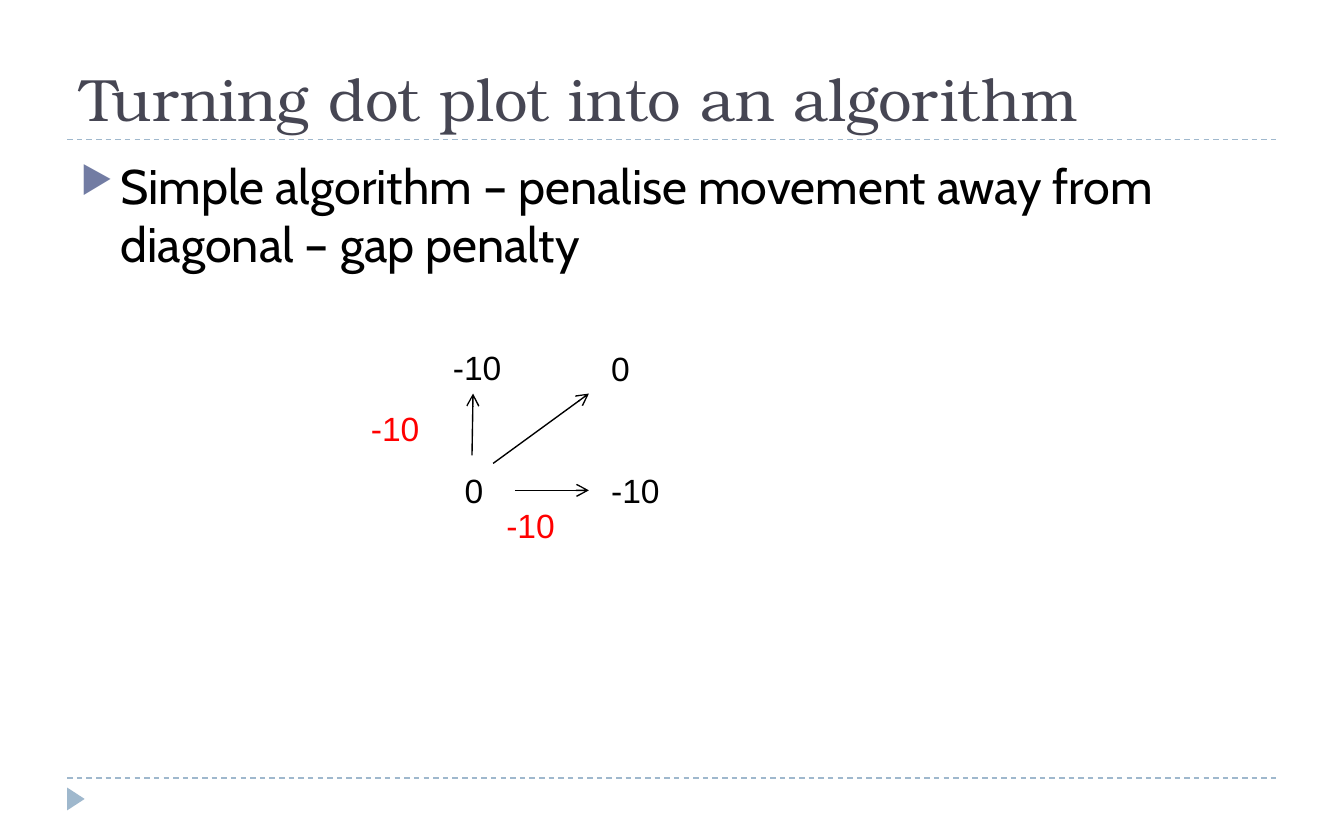
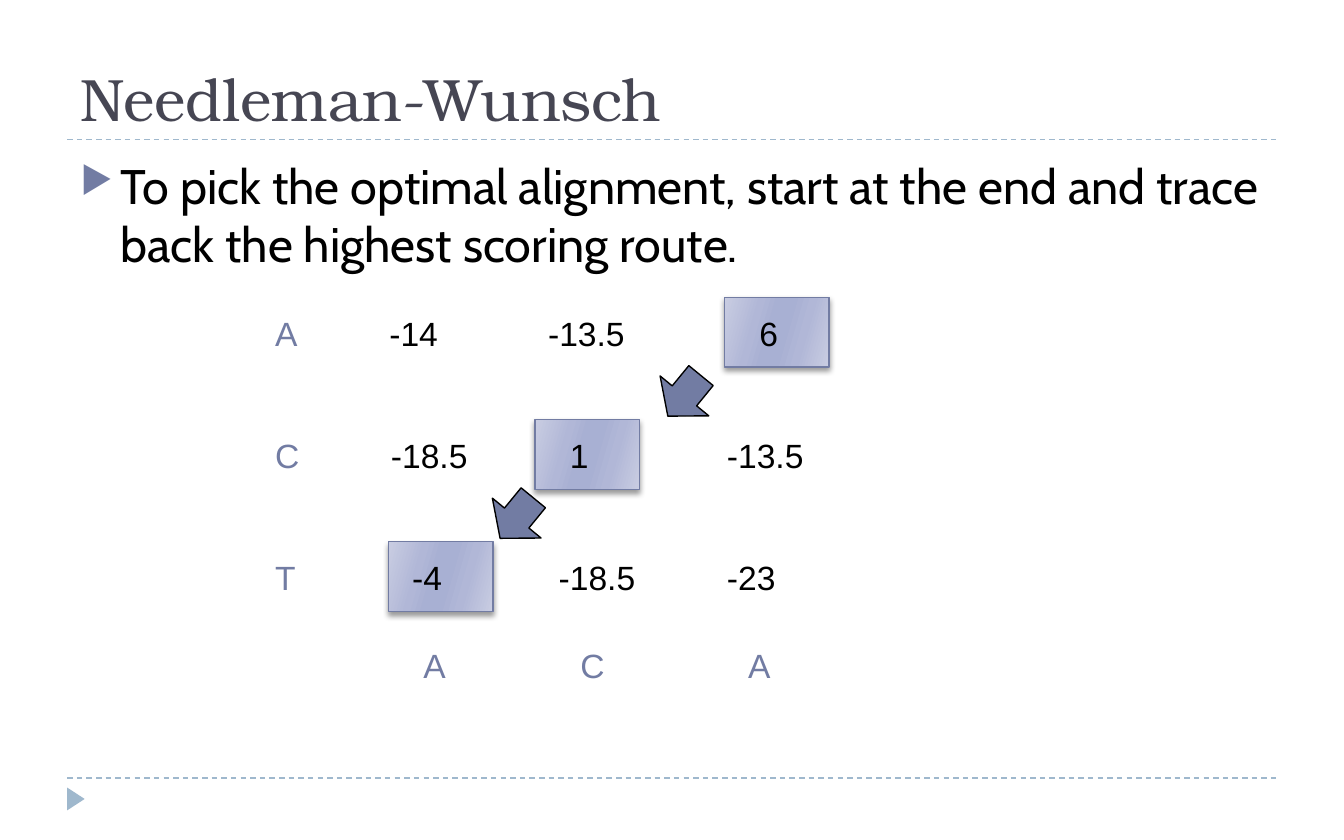
from lxml.etree import SubElement
from pptx import Presentation
from pptx.dml.color import RGBColor
from pptx.enum.dml import MSO_LINE
from pptx.enum.shapes import MSO_CONNECTOR as CONNECTOR, MSO_SHAPE as SHAPE
from pptx.enum.text import MSO_ANCHOR as ANCHOR, MSO_AUTO_SIZE as AUTO_SIZE
from pptx.oxml.ns import qn
from pptx.util import Cm, Pt

BLACK = RGBColor(0x00, 0x00, 0x00)
RED = RGBColor(0xFF, 0x00, 0x00)
SLATE = RGBColor(0x46, 0x46, 0x53)
INDIGO = RGBColor(0x72, 0x7C, 0xA3)
SKY = RGBColor(0x9F, 0xB8, 0xCD)
PALE = RGBColor(0xC9, 0xCD, 0xE2)
SOFT = RGBColor(0xB1, 0xB7, 0xD7)
DEEP = RGBColor(0xA8, 0xB0, 0xD3)
SHEEN = [(0, PALE), (30, SOFT), (45, DEEP), (55, DEEP), (73, SOFT), (100, PALE)]

TITLE_FONT, BODY_FONT, SCORE_FONT = "TeX Gyre Bonum", "Cabin", "Arial"
LEFT, RIGHT = 1.27, 24.13
TITLE_RULE, FOOTER_RULE = 2.64, 14.71
SCORE_HEIGHT = 1.02


def add_xml(parent, tag, **attributes):
    return SubElement(parent, qn(tag), {k: str(v) for k, v in attributes.items()})


class Deck:
    def __init__(self):
        self.prs = Presentation()
        self.prs.slide_width, self.prs.slide_height = Cm(25.4), Cm(15.88)
        self.slide = None

    def new_slide(self, title, point):
        self.slide = self.prs.slides.add_slide(self.prs.slide_layouts[6])
        # Rules and footer marker
        for y in (FOOTER_RULE, TITLE_RULE):
            self.line((LEFT, y), (RIGHT, y), SKY).line.dash_style = MSO_LINE.DASH
        self.shape(SHAPE.ISOSCELES_TRIANGLE, 1.22, 14.94, 0.43, 0.33, SKY, turn=90)
        # Title and bulleted point
        heading = self.text(title, LEFT, 0.36, RIGHT - LEFT, 2.29, TITLE_FONT, 32, SLATE)
        heading.vertical_anchor = ANCHOR.BOTTOM
        self.text(point, LEFT, 2.82, RIGHT - LEFT, 11.43, BODY_FONT, 26, BLACK, bullet=True)

    def text(self, words, x, y, width, height, font, size, color, bullet=False):
        frame = self.slide.shapes.add_textbox(Cm(x), Cm(y), Cm(width), Cm(height)).text_frame
        frame.word_wrap = True
        paragraph = frame.paragraphs[0]
        paragraph.text = words
        if bullet:
            self.bullet(paragraph)
        paragraph.font.name, paragraph.font.size = font, Pt(size)
        paragraph.font.color.rgb = color
        return frame

    def bullet(self, paragraph):
        properties = paragraph._p.get_or_add_pPr()
        properties.set("marL", str(Cm(0.76)))
        properties.set("indent", str(-Cm(0.76)))
        add_xml(add_xml(properties, "a:buClr"), "a:srgbClr", val=INDIGO)
        add_xml(properties, "a:buSzPct", val=76000)
        add_xml(properties, "a:buChar", char="▶")

    def score(self, words, x, y, width, color=BLACK, wrap=True):
        frame = self.text(words, x, y, width, SCORE_HEIGHT, SCORE_FONT, 18, color)
        frame.word_wrap = wrap
        frame.auto_size = AUTO_SIZE.SHAPE_TO_FIT_TEXT

    def base(self, letter, x, y):
        self.score(letter, x, y, 0.97, INDIGO, wrap=False)

    def line(self, start, end, color):
        rule = self.slide.shapes.add_connector(
            CONNECTOR.STRAIGHT, *(Cm(value) for value in start + end))
        rule.line.color.rgb, rule.line.width = color, Pt(0.75)
        add_xml(rule._element.spPr, "a:effectLst")
        return rule

    def arrow(self, start, end):
        move = self.line(start, end, BLACK)
        add_xml(move.line._get_or_add_ln(), "a:tailEnd", type="arrow")

    def shape(self, kind, x, y, width, height, fill=None, outline=None, turn=0):
        figure = self.slide.shapes.add_shape(kind, Cm(x), Cm(y), Cm(width), Cm(height))
        figure.shadow.inherit = False
        figure.rotation = turn
        if fill is not None:
            figure.fill.solid()
            figure.fill.fore_color.rgb = fill
        if outline is None:
            figure.line.fill.background()
        else:
            figure.line.color.rgb, figure.line.width = outline, Pt(0.75)
        return figure

    def highlight(self, x, y):
        cell = self.shape(SHAPE.RECTANGLE, x, y, 1.98, 1.32, outline=INDIGO)
        cell.fill.gradient()
        cell.fill.gradient_angle = 360 - 16  # counted anticlockwise
        properties = cell._element.spPr
        stops = properties.find(".//" + qn("a:gsLst"))
        stops.clear()
        for position, color in SHEEN:
            add_xml(add_xml(stops, "a:gs", pos=position * 1000), "a:srgbClr", val=color)
        shadow = add_xml(properties.find(qn("a:effectLst")), "a:outerShdw",
                         blurRad=Pt(3), dist=Pt(2), dir=90 * 60000, rotWithShape=0)
        add_xml(add_xml(shadow, "a:srgbClr", val=BLACK), "a:alpha", val=40000)


def gap_penalty(deck):
    deck.new_slide("Turning dot plot into an algorithm",
                   "Simple algorithm – penalise movement away from diagonal – gap penalty")
    # Scores at the four corners
    for value, x, y, width in [("0", 8.53, 8.76, 1.57), ("-10", 8.31, 6.43, 2.57),
                               ("-10", 11.3, 8.76, 2.18), ("0", 11.3, 6.45, 1.57)]:
        deck.score(value, x, y, width)
    # Moves: diagonal, right, up
    deck.arrow((9.32, 8.76), (11.13, 7.44))
    deck.arrow((9.73, 9.27), (11.13, 9.27))
    deck.arrow((8.92, 8.61), (8.94, 7.44))
    # Penalties
    for x, y in [(6.76, 7.59), (9.32, 9.42)]:
        deck.score("-10", x, y, 1.98, RED)


def trace_back(deck):
    deck.new_slide("Needleman-Wunsch",
                   "To pick the optimal alignment, start at the end and trace back "
                   "the highest scoring route.")
    first_row, row_step = 5.79, 2.31
    row_tops = [first_row + row_step * row for row in range(3)]
    # Cells on the best route
    for x, top in zip((13.69, 10.11, 7.34), row_tops):
        deck.highlight(x, top - 0.17)
    # Score matrix: value, left, width
    matrix = [
        ("A", [("-14", 7.11, 2.59), ("-13.5", 10.11, 3.38), ("6", 14.1, 1.19)]),
        ("C", [("-18.5", 7.14, 2.77), ("1", 10.52, 1.19), ("-13.5", 13.49, 3.81)]),
        ("T", [("-4", 7.54, 1.57), ("-18.5", 10.31, 3.18), ("-23", 13.49, 4.22)]),
    ]
    for top, (letter, scores) in zip(row_tops, matrix):
        deck.base(letter, 4.95, top)
        for value, x, width in scores:
            deck.score(value, x, top, width)
    for letter, x in zip("ACA", (7.75, 10.72, 13.89)):
        deck.base(letter, x, 12.07)
    # Steps back along the route
    for x, top in zip((12.34, 9.17), row_tops):
        deck.shape(SHAPE.DOWN_ARROW, x, top + 1.2, 1.19, 0.99, INDIGO, BLACK, turn=39.3)


def main():
    deck = Deck()
    gap_penalty(deck)
    trace_back(deck)
    deck.prs.save("out.pptx")


if __name__ == "__main__":
    main()
